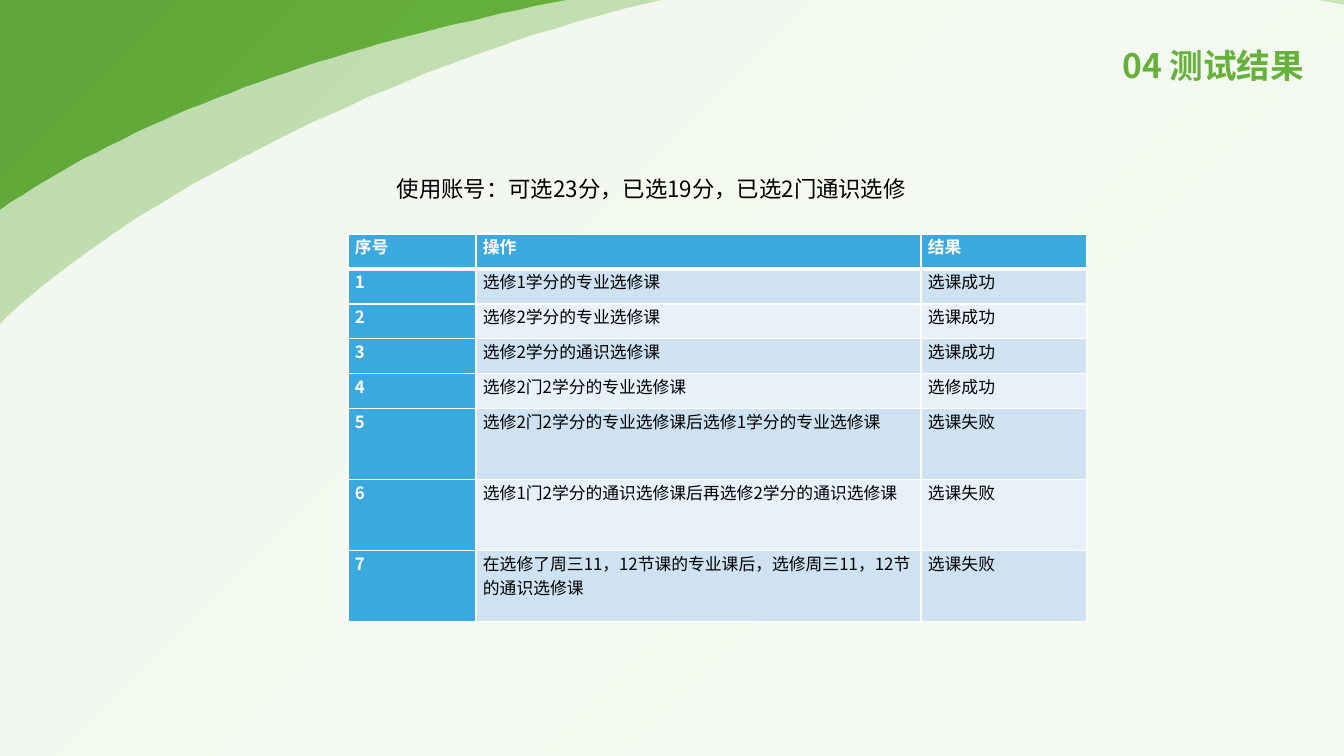
"""Builds the test results slide with its green corner and result table."""
import lxml.etree
import pptx
import pptx.dml.color
import pptx.enum.dml
import pptx.enum.shapes
import pptx.enum.text
import pptx.oxml
import pptx.oxml.ns
import pptx.util

RGB = pptx.dml.color.RGBColor
ALIGN = pptx.enum.text.PP_ALIGN
ANCHOR = pptx.enum.text.MSO_ANCHOR

TITLE = "04 测试结果"
ACCOUNT = "使用账号：可选23分，已选19分，已选2门通识选修"
ROWS = [
    ("序号", "操作", "结果"),
    ("1", "选修1学分的专业选修课", "选课成功"),
    ("2", "选修2学分的专业选修课", "选课成功"),
    ("3", "选修2学分的通识选修课", "选课成功"),
    ("4", "选修2门2学分的专业选修课", "选修成功"),
    ("5", "选修2门2学分的专业选修课后选修1学分的专业选修课", "选课失败"),
    ("6", "选修1门2学分的通识选修课后再选修2学分的通识选修课", "选课失败"),
    ("7", "在选修了周三11，12节课的专业课后，选修周三11，12节的通识选修课", "选课失败"),
]
COLUMN_WIDTHS = (128, 445, 166)
ROW_HEIGHTS = (35,) * 5 + (71,) * 3
TABLE_LEFT, TABLE_TOP = 348, 234
WIDTH, HEIGHT = 1344, 756
EMU_PER_PX = 914400 / 100.8

FONT = "Noto Sans CJK SC"
WHITE = RGB(0xFF, 0xFF, 0xFF)
BLACK = RGB(0x00, 0x00, 0x00)
GREEN = RGB(0x66, 0xB1, 0x3C)
LIGHT_GREEN = RGB(0x7D, 0xC5, 0x55)
DARK_GREEN = RGB(0x5F, 0xA6, 0x38)
BLUE = RGB(0x39, 0xA9, 0xDE)
BANDS = (RGB(0xE8, 0xF1, 0xF9), RGB(0xCE, 0xE2, 0xF2))
GREEN_STOPS = ((0, LIGHT_GREEN), (23, LIGHT_GREEN), (69, GREEN), (97, DARK_GREEN))
VEILS = [
    {"curve": ((0, 210), (150, 107), (353, 42), (567, 0)),
     "corner": [(WIDTH, 0)], "opacity": 60},
    {"curve": ((0, 324), (135, 190), (432, 51), (662, 0)),
     "corner": [(1318, 0), (WIDTH, 5)], "opacity": 80},
]


def px(length):
    return pptx.util.Emu(round(length * EMU_PER_PX))


def place(*lengths):
    return [px(length) for length in lengths]


def write(frame, text, size=12, color=BLACK, bold=False, align=ALIGN.LEFT, spacing=None):
    para = frame.paragraphs[0]
    para.alignment = align
    if spacing:
        para.line_spacing = spacing
    span = para.add_run()
    span.text = text
    span.font.size = pptx.util.Pt(size)
    span.font.name = FONT
    span.font.bold = bold
    span.font.color.rgb = color
    east = lxml.etree.SubElement(span.font._element, pptx.oxml.ns.qn("a:ea"))
    east.set("typeface", FONT)


def paint_background(page):
    box = page.shapes.add_shape(
        pptx.enum.shapes.MSO_SHAPE.RECTANGLE, *place(0, 0, WIDTH, HEIGHT))
    box.shadow.inherit = False
    box.line.fill.background()
    stops = "".join(
        f'<a:gs pos="{position * 1000}"><a:srgbClr val="{color}"/></a:gs>'
        for position, color in GREEN_STOPS)
    gradient = pptx.oxml.parse_xml(
        f'<a:gradFill {pptx.oxml.ns.nsdecls("a")} rotWithShape="1"><a:gsLst>{stops}</a:gsLst>'
        '<a:path path="circle"><a:fillToRect l="100000" t="100000"/></a:path></a:gradFill>')
    geometry = box._element.spPr.find(pptx.oxml.ns.qn("a:prstGeom"))
    geometry.addnext(gradient)


def bezier(points, steps=40):
    for step in range(steps + 1):
        t = step / steps
        weights = ((1 - t) ** 3, 3 * t * (1 - t) ** 2, 3 * t * t * (1 - t), t ** 3)
        yield tuple(sum(w * point[axis] for w, point in zip(weights, points))
                    for axis in (0, 1))


def add_veil(page, curve, corner, opacity):
    outline = [*bezier(curve), *corner, (WIDTH, HEIGHT), (0, HEIGHT)]
    builder = page.shapes.build_freeform(*outline[0], scale=EMU_PER_PX)
    builder.add_line_segments(outline[1:], close=True)
    veil = builder.convert_to_shape()
    veil.shadow.inherit = False
    veil.line.fill.background()
    veil.fill.solid()
    veil.fill.fore_color.rgb = WHITE
    color = veil._element.spPr.find(".//" + pptx.oxml.ns.qn("a:srgbClr"))
    alpha = lxml.etree.SubElement(color, pptx.oxml.ns.qn("a:alpha"))
    alpha.set("val", str(opacity * 1000))


def add_borders(cell, bottom):
    properties = cell._tc.get_or_add_tcPr()
    for index, (side, points) in enumerate(zip("LRTB", (1, 1, 1, bottom))):
        properties.insert(index, pptx.oxml.parse_xml(
            f'<a:ln{side} {pptx.oxml.ns.nsdecls("a")} w="{points * 12700}">'
            f'<a:solidFill><a:srgbClr val="{WHITE}"/></a:solidFill></a:ln{side}>'))


def add_results(page):
    area = place(TABLE_LEFT, TABLE_TOP, sum(COLUMN_WIDTHS), sum(ROW_HEIGHTS))
    table = page.shapes.add_table(len(ROWS), len(COLUMN_WIDTHS), *area).table
    table.first_col = True
    for column, width in zip(table.columns, COLUMN_WIDTHS):
        column.width = px(width)
    for r, (row, height) in enumerate(zip(ROWS, ROW_HEIGHTS)):
        table.rows[r].height = px(height)
        for c, text in enumerate(row):
            cell = table.cell(r, c)
            heading = r == 0 or c == 0
            cell.margin_left = cell.margin_right = px(7)
            cell.margin_top = cell.margin_bottom = 0
            cell.fill.solid()
            cell.fill.fore_color.rgb = BLUE if heading else BANDS[r % 2]
            add_borders(cell, bottom=3 if r == 0 else 1)
            write(cell.text_frame, text, color=WHITE if heading else BLACK, bold=heading)


def add_title(page):
    title = page.shapes.title
    title.left, title.top, title.width, title.height = place(729, 28, 585, 80)
    title.text_frame.vertical_anchor = ANCHOR.MIDDLE
    write(title.text_frame, TITLE, size=24, color=GREEN, bold=True,
          align=ALIGN.RIGHT, spacing=0.9)
    title._element.getparent().append(title._element)


def main():
    deck = pptx.Presentation()
    deck.slide_width, deck.slide_height = place(WIDTH, HEIGHT)
    page = deck.slides.add_slide(deck.slide_layouts[5])
    paint_background(page)
    for veil in VEILS:
        add_veil(page, **veil)
    add_title(page)
    add_results(page)
    box = page.shapes.add_textbox(*place(387, 170, 660, 37))
    box.text_frame.word_wrap = True
    write(box.text_frame, ACCOUNT, size=16)
    deck.save("out.pptx")


if __name__ == "__main__":
    main()
